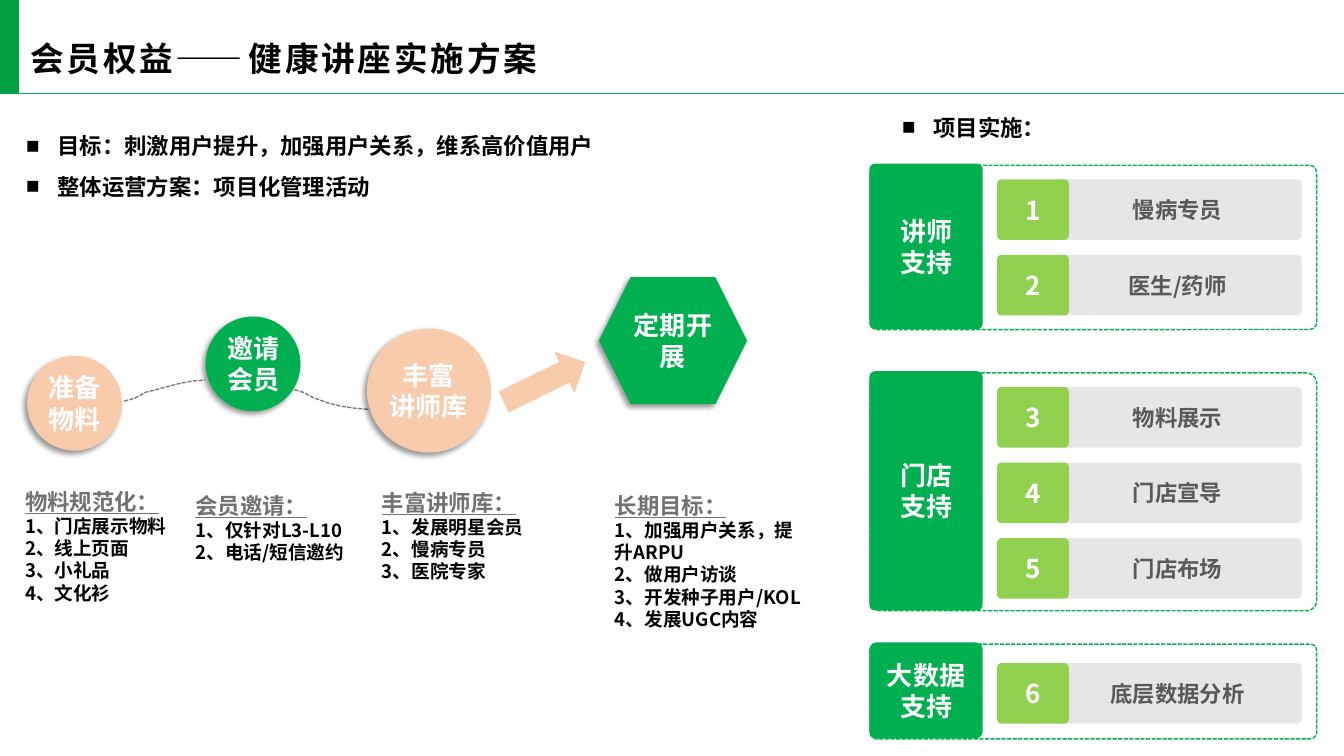
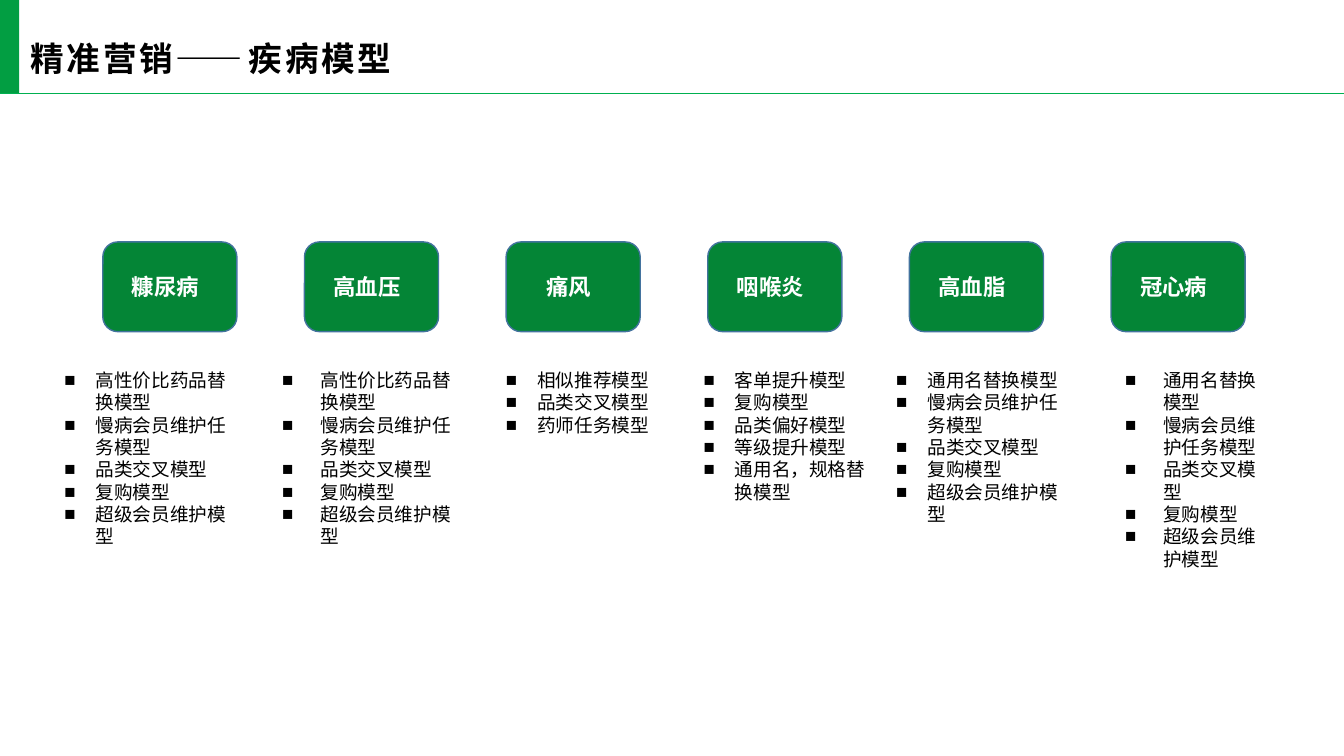
from lxml import etree
from pptx import Presentation
from pptx.dml.color import RGBColor
from pptx.enum.dml import MSO_LINE
from pptx.enum.shapes import MSO_CONNECTOR, MSO_SHAPE
from pptx.enum.text import MSO_ANCHOR, MSO_AUTO_SIZE, PP_ALIGN
from pptx.oxml.ns import qn
from pptx.util import Inches, Pt

RECT = MSO_SHAPE.RECTANGLE
ROUND = MSO_SHAPE.ROUNDED_RECTANGLE
OVAL = MSO_SHAPE.OVAL
HEXAGON = MSO_SHAPE.HEXAGON
ARROW = MSO_SHAPE.RIGHT_ARROW
CARD = MSO_SHAPE.FLOWCHART_ALTERNATE_PROCESS
STRAIGHT = MSO_CONNECTOR.STRAIGHT
DASH = MSO_LINE.SQUARE_DOT
MIDDLE = MSO_ANCHOR.MIDDLE
LEFT, CENTER = PP_ALIGN.LEFT, PP_ALIGN.CENTER
NO_FIT = MSO_AUTO_SIZE.NONE

FONT = "Noto Sans CJK SC"
BLACK, WHITE = "000000", "FFFFFF"
GREEN, BAND_GREEN, CARD_GREEN, LIME = "00B050", "029E42", "048536", "92D050"
PEACH, PALE = "F8CBAD", "E7E6E6"
HEADING_GREY, LABEL_GREY, DASH_GREY = "767171", "595959", "7C7C7C"
CARD_EDGE = "43739E"


def rgb(value):
    return RGBColor.from_string(value)


def place(sp, x, y, w, h):
    sp.left, sp.top, sp.width, sp.height = map(Inches, (x, y, w, h))


def style(p, size, color, bold=False, name=FONT, underline=None):
    f = p.font
    f.size, f.bold, f.name, f.underline = Pt(size), bold, name, underline
    f.color.rgb = rgb(color)
    props = p._p.pPr.find(qn("a:defRPr"))
    etree.SubElement(props, qn("a:ea")).set("typeface", FONT)
    return props


def add_bullet(p, indent):
    props = p._p.get_or_add_pPr()
    props.set("marL", str(Inches(indent)))
    props.set("indent", str(-Inches(indent)))
    etree.SubElement(props, qn("a:buFont")).set("typeface", "Arial")
    etree.SubElement(props, qn("a:buChar")).set("char", "■")


def write(tf, lines, size, color, bold=False, align=LEFT, indent=None, spacing=None):
    tf.word_wrap = True
    for i, line in enumerate(lines):
        p = tf.paragraphs[0] if i == 0 else tf.add_paragraph()
        p.text = line
        p.alignment = align
        p.space_before = Pt(0)
        if spacing:
            p.line_spacing = spacing
        if indent:
            add_bullet(p, indent)
        style(p, size, color, bold)


def set_margins(tf, left, top, right, bottom):
    tf.margin_left, tf.margin_top = Inches(left), Inches(top)
    tf.margin_right, tf.margin_bottom = Inches(right), Inches(bottom)


def add_box(slide, kind, box, fill=None, line=None, dash=None, adj=None):
    sp = slide.shapes.add_shape(kind, *map(Inches, box))
    sp.shadow.inherit = False
    if fill:
        sp.fill.solid()
        sp.fill.fore_color.rgb = rgb(fill)
    else:
        sp.fill.background()
    if line:
        set_line(sp, line, dash)
    else:
        sp.line.fill.background()
    if adj:
        sp.adjustments[0] = adj
    return sp


def set_line(sp, color, dash=None):
    sp.line.color.rgb = rgb(color)
    sp.line.width = Pt(1)
    if dash:
        sp.line.dash_style = dash


def add_label(sp, lines, size=18.6, color=WHITE, margins=(0, 0, 0, 0)):
    tf = sp.text_frame
    set_margins(tf, *margins)
    tf.vertical_anchor = MIDDLE
    write(tf, lines, size, color, True, CENTER)


def add_list(slide, box, lines, size, bold=False, indent=0.31):
    sp = slide.shapes.add_textbox(*map(Inches, box))
    write(sp.text_frame, lines, size, BLACK, bold, indent=indent)


def cast_shadow(sp):
    effects = sp.element.spPr.find(qn("a:effectLst"))
    shadow = etree.SubElement(effects, qn("a:outerShdw"), blurRad=str(Pt(4)),
                              dist=str(Pt(3)), dir="8100000", algn="tr", rotWithShape="0")
    color = etree.SubElement(shadow, qn("a:srgbClr"), val=BLACK)
    etree.SubElement(color, qn("a:alpha"), val="40000")


def decorate_master(prs, slide):
    band = add_box(slide, RECT, (0, -0.01, 0.19, 0.94), BAND_GREEN)
    rule = slide.shapes.add_connector(STRAIGHT, 0, Inches(0.93), prs.slide_width, Inches(0.93))
    set_line(rule, GREEN)
    etree.SubElement(rule.element.spPr, qn("a:effectLst"))
    tree = prs.slide_master.shapes.element
    for i, sp in enumerate((band, rule)):
        tree.insert(2 + i, sp.element)


def set_title(slide, text):
    title = slide.shapes.title
    place(title, 0.19, 0.22, 5.88, 0.71)
    tf = title.text_frame
    set_margins(tf, 0.11, 0.04, 0.08, 0.04)
    tf.vertical_anchor = MIDDLE
    tf.auto_size = NO_FIT
    p = tf.paragraphs[0]
    p.text = text
    p.alignment = LEFT
    style(p, 24, BLACK, True, "Arial").set("spc", "200")


def add_dashed_path(slide, points):
    (x, y), *rest = [(Inches(a), Inches(b)) for a, b in points]
    builder = slide.shapes.build_freeform(x, y)
    builder.add_line_segments(rest, close=False)
    sp = builder.convert_to_shape()
    sp.shadow.inherit = False
    sp.fill.background()
    set_line(sp, DASH_GREY, DASH)


def add_note(slide, box, heading, items):
    sp = slide.shapes.add_textbox(*map(Inches, box))
    tf = sp.text_frame
    write(tf, [heading, *items], 13.3, BLACK, True)
    tf.paragraphs[0].font.size = Pt(16)
    tf.paragraphs[0].font.underline = True
    tf.paragraphs[0].font.color.rgb = rgb(HEADING_GREY)


def add_process(slide):
    add_dashed_path(slide, [(2.87, 3.85), (3, 3.89), (3.12, 3.95), (3.26, 4), (3.38, 4.03),
                            (3.52, 4.05), (3.64, 4.06), (3.89, 4.06), (4.01, 4.03)])
    add_dashed_path(slide, [(1.23, 3.98), (1.34, 3.95), (1.45, 3.89), (1.57, 3.86),
                            (1.68, 3.83), (1.8, 3.8), (1.91, 3.78), (2.03, 3.77)])
    steps = [
        (OVAL, (0.27, 3.53, 0.94, 0.94), PEACH, ["准备物料"]),
        (OVAL, (2.04, 3.14, 0.94, 0.94), GREEN, ["邀请会员"]),
        (OVAL, (3.64, 3.26, 1.23, 1.23), PEACH, ["丰富", "讲师库"]),
        (HEXAGON, (5.94, 2.75, 1.47, 1.26), GREEN, ["定期开展"]),
    ]
    for kind, box, fill, lines in steps:
        sp = add_box(slide, kind, box, fill)
        cast_shadow(sp)
        add_label(sp, lines)
    arrow = add_box(slide, ARROW, (4.95, 3.56, 0.9, 0.46), PEACH)
    arrow.rotation = 334

    notes = [
        ((0.15, 4.79, 1.85, 1.49), "物料规范化：",
         ["1、门店展示物料", "2、线上页面", "3、小礼品", "4、文化衫"]),
        ((1.84, 4.83, 1.85, 0.82), "会员邀请：", ["1、仅针对L3-L10", "2、电话/短信邀约"]),
        ((3.69, 4.8, 2.13, 1.04), "丰富讲师库：",
         ["1、发展明星会员", "2、慢病专员", "3、医院专家"]),
        ((6, 4.83, 2.13, 1.49), "长期目标：",
         ["1、加强用户关系，提升ARPU", "2、做用户访谈", "3、开发种子用户/KOL", "4、发展UGC内容"]),
    ]
    for note in notes:
        add_note(slide, *note)


def add_support(slide, box, name, items, first, pad, adj):
    x, y, w, h = box
    add_box(slide, ROUND, (x, y + 0.01, w, h), line=GREEN, dash=DASH, adj=adj)
    add_label(add_box(slide, ROUND, (x, y, 1.11, h), GREEN, GREEN, adj=adj), [name, "支持"])
    for i, item in enumerate(items):
        top = y + pad + 0.75 * i
        bar = add_box(slide, ROUND, (x + 1.82, top, 2.46, 0.6), PALE, adj=0.068)
        add_label(bar, [item], 16, LABEL_GREY, (0.1, 0.05, 0.1, 0.05))
        number = add_box(slide, ROUND, (x + 1.26, top, 0.71, 0.6), LIME, adj=0.068)
        add_label(number, [str(first + i)])


def build_lecture_slide(slide):
    set_title(slide, "会员权益——健康讲座实施方案")
    goals = slide.placeholders[1]
    place(goals, 0.16, 1.13, 8.97, 1.31)
    goals.text_frame.auto_size = NO_FIT
    write(goals.text_frame,
          ["目标：刺激用户提升，加强用户关系，维系高价值用户", "整体运营方案：项目化管理活动"],
          16, BLACK, True, indent=0.31, spacing=1.5)
    add_process(slide)
    add_list(slide, (8.85, 1.08, 3.79, 0.37), ["项目实施："], 16, True)
    supports = [
        (1.63, 1.63, "讲师", ["慢病专员", "医生/药师"], 0.15, 0.044),
        (3.69, 2.36, "门店", ["物料展示", "门店宣导", "门店布场"], 0.15, 0.044),
        (6.38, 0.94, "大数据", ["底层数据分析"], 0.2, 0.068),
    ]
    first = 1
    for y, h, name, items, pad, adj in supports:
        add_support(slide, (8.63, y, 4.43, h), name, items, first, pad, adj)
        first += len(items)


def build_disease_slide(slide):
    set_title(slide, "精准营销——疾病模型")
    swap, care, cross = "通用名替换模型", "慢病会员维护任务模型", "品类交叉模型"
    rebuy, vip = "复购模型", "超级会员维护模型"
    value = "高性价比药品替换模型"
    common = [care, cross, rebuy, vip]
    diseases = [
        ("糠尿病", 0.54, 1.97, 0.31, [value, *common]),
        ("高血压", 2.7, 1.94, 0.38, [value, *common]),
        ("痛风", 4.92, 1.88, 0.31, ["相似推荐模型", cross, "药师任务模型"]),
        ("咽喉炎", 6.88, 1.91, 0.31,
         ["客单提升模型", rebuy, "品类偏好模型", "等级提升模型", "通用名，规格替换模型"]),
        ("高血脂", 8.79, 1.98, 0.31, [swap, *common]),
        ("冠心病", 11.06, 1.54, 0.38, [swap, *common]),
    ]
    for i, (name, x, w, indent, models) in enumerate(diseases):
        card = add_box(slide, CARD, (1.02 + 2 * i, 2.4, 1.33, 0.89), CARD_GREEN, CARD_EDGE)
        add_label(card, [name], 16, margins=(0.05, 0.05, 0.14, 0.05))
        add_list(slide, (x, 3.61, w, 2.35), models, 13.3, indent=indent)


def main():
    prs = Presentation()
    prs.slide_width, prs.slide_height = Inches(13.33), Inches(7.5)
    lecture = prs.slides.add_slide(prs.slide_layouts[1])
    disease = prs.slides.add_slide(prs.slide_layouts[5])
    decorate_master(prs, lecture)
    build_lecture_slide(lecture)
    build_disease_slide(disease)
    prs.save("out.pptx")


if __name__ == "__main__":
    main()
